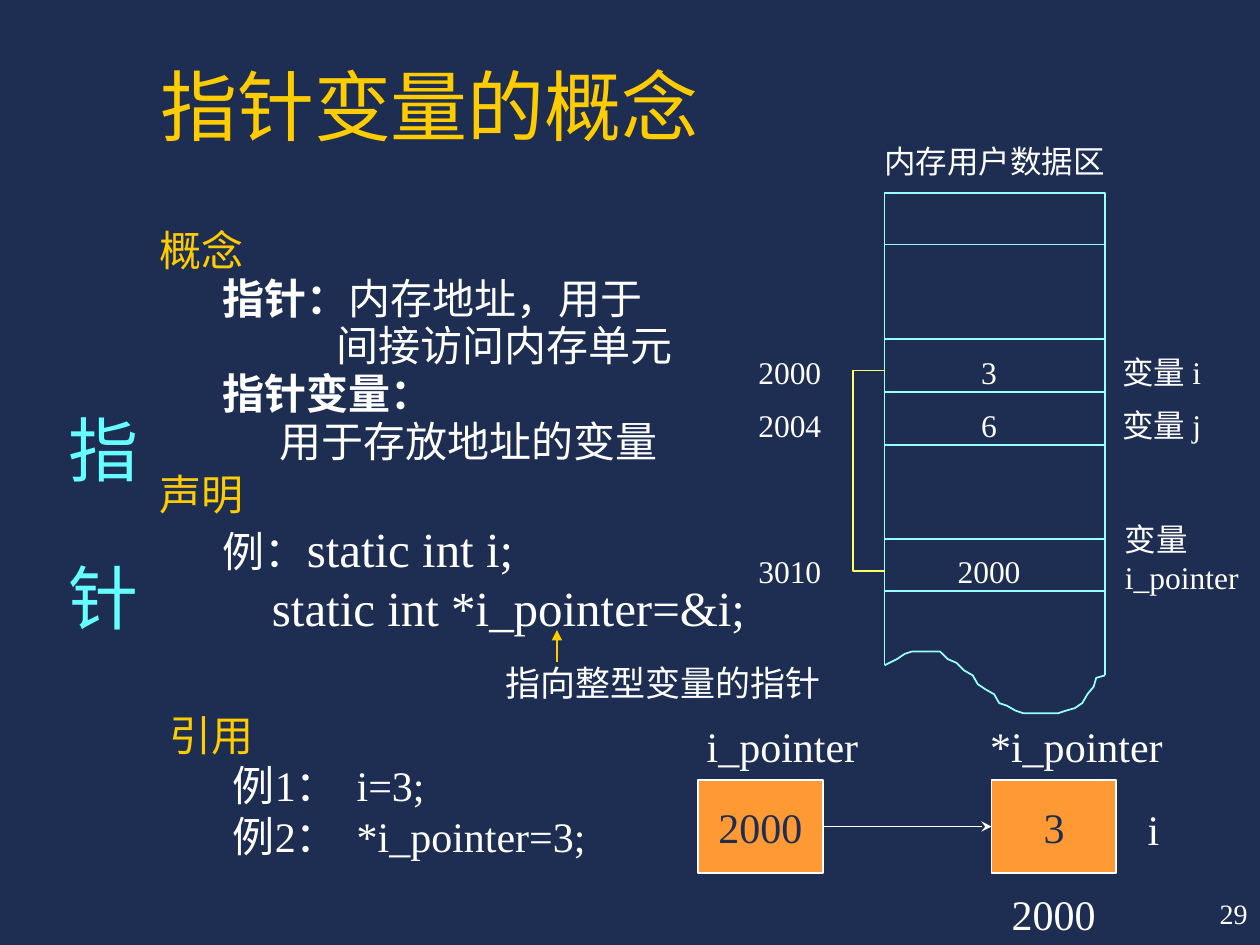
from dataclasses import dataclass
from lxml import etree
from pptx import Presentation
from pptx.dml.color import RGBColor
from pptx.enum.shapes import MSO_CONNECTOR, MSO_SHAPE
from pptx.enum.text import MSO_ANCHOR, PP_ALIGN
from pptx.oxml.ns import qn
from pptx.util import Inches, Pt

LEFT, CENTER, RIGHT = PP_ALIGN.LEFT, PP_ALIGN.CENTER, PP_ALIGN.RIGHT
TOP, MIDDLE = MSO_ANCHOR.TOP, MSO_ANCHOR.MIDDLE
STRAIGHT, RECTANGLE = MSO_CONNECTOR.STRAIGHT, MSO_SHAPE.RECTANGLE


@dataclass(frozen=True)
class Theme:
    navy: str = "1E2E53"
    gold: str = "FFCC00"
    white: str = "FFFFFF"
    orange: str = "FF9933"
    cyan: str = "99FFFF"
    aqua: str = "66FFFF"
    yellow: str = "FFFF66"
    font: str = "Times New Roman"
    chinese_font: str = "Noto Sans CJK SC"
    title: int = 44
    side_gap: int = 45
    side: int = 40
    code: int = 28
    body: int = 24
    note: int = 20
    label: int = 18
    number: int = 16
    leading: float = 1.2


THEME = Theme()
W, G = THEME.white, THEME.gold
BODY, CODE = THEME.body, THEME.code
TIGHT = THEME.leading * 0.95

TITLE = "指针变量的概念"
# Section: (box, leading, paragraphs); paragraph: (left margin, first-line indent, runs)
# Run: (text, size, colour, bold)
SECTIONS = [
    ((1.17, 1.75, 5, 2.08), TIGHT, [
        (0, 0, [("概念", BODY, G, False)]),
        (1.4, -0.9, [("指针：", BODY, W, True),
                     ("内存地址，用于\v间接访问内存单元", BODY, W, False)]),
        (0.95, -0.45, [("指针变量：\v", BODY, W, True),
                       ("用于存放地址的变量", BODY, W, False)]),
    ]),
    ((1.17, 3.67, 5.6, 2.08), THEME.leading, [
        (0, 0, [("声明", BODY, G, False)]),
        (0.5, 0, [("例：", BODY, W, False), ("static int i;", CODE, W, False)]),
        (0.89, 0, [("static int *i_pointer=&i;", CODE, W, False)]),
        (2.74, 0, [("指向整型变量的指针", THEME.note, W, False)]),
    ]),
    ((1.25, 5.58, 4.2, 1.58), THEME.leading, [
        (0, 0, [("引用", BODY, G, False)]),
        (0.5, 0, [("例1：  i=3;", BODY, W, False)]),
        (0.5, 0, [("例2：  *i_pointer=3;", BODY, W, False)]),
    ]),
]
NOTE_SPACING = 38

MEMORY_LEFT, MEMORY_RIGHT = 7.02, 8.77
MEMORY_TOP, MEMORY_BOTTOM = 1.53, 4.69
CELL_LINES = [1.94, 2.69, 3.11, 3.53, 4.28]
# Top of row, address, value
CELLS = [(2.75, "2000", "3"), (3.17, "2004", "6"), (4.33, "3010", "2000")]
TORN_EDGE = [
    (7.02, 5.28), (7.12, 5.23), (7.18, 5.19), (7.24, 5.17), (7.46, 5.17), (7.52, 5.23),
    (7.59, 5.26), (7.65, 5.32), (7.72, 5.36), (7.76, 5.43), (7.82, 5.47), (7.89, 5.51),
    (7.93, 5.58), (7.99, 5.6), (8.06, 5.64), (8.12, 5.66), (8.4, 5.66), (8.46, 5.64),
    (8.53, 5.62), (8.59, 5.58), (8.63, 5.51), (8.68, 5.45), (8.7, 5.38), (8.77, 5.36),
]
BRACKET = [(7.02, 4.53), (6.77, 4.53), (6.77, 2.94), (7.02, 2.94)]

# Text, box, size
LABELS = [
    ("内存用户数据区", (6.92, 1.08, 1.95, 0.4), THEME.label),
    ("变量 i", (8.81, 2.75, 0.89, 0.4), THEME.label),
    ("变量 j", (8.81, 3.17, 0.89, 0.4), THEME.label),
    ("变量\vi_pointer", (8.83, 4.08, 1.11, 0.7), THEME.label),
    ("i_pointer", (5.51, 5.67, 1.41, 0.5), BODY),
    ("*i_pointer", (7.76, 5.67, 1.57, 0.5), BODY),
    ("i", (9.01, 6.33, 0.29, 0.5), BODY),
    ("2000", (7.93, 7, 0.87, 0.5), BODY),
]
POINTER_BOXES = [("2000", 5.54), ("3", 7.87)]

deck = Presentation()
deck.slide_width, deck.slide_height = Inches(10), Inches(7.5)
page = deck.slides.add_slide(deck.slide_layouts[5])
page.background.fill.solid()
page.background.fill.fore_color.rgb = RGBColor.from_string(THEME.navy)


def inches(values):
    return [Inches(value) for value in values]


def add_span(para, text, size, color, bold=False, font=THEME.font):
    """Add text as runs, with a line break at each vertical tab."""
    for index, part in enumerate(text.split("\v")):
        if index:
            para.add_line_break()
        if not part:
            continue
        span = para.add_run()
        span.text = part
        span.font.size, span.font.bold, span.font.name = Pt(size), bold, font
        span.font.color.rgb = RGBColor.from_string(color)
        east_asian = etree.SubElement(span.font._element, qn("a:ea"))
        east_asian.set("typeface", THEME.chinese_font)


def add_label(text, box, size, color=W, align=LEFT, anchor=TOP, wrap=False):
    label = page.shapes.add_textbox(*inches(box))
    frame = label.text_frame
    frame.word_wrap, frame.vertical_anchor = wrap, anchor
    para = frame.paragraphs[0]
    para.alignment, para.line_spacing = align, Pt(size * THEME.leading)
    add_span(para, text, size, color)
    return label


def add_section(box, leading, paragraphs):
    frame = page.shapes.add_textbox(*inches(box)).text_frame
    frame.word_wrap = True
    for index, (margin, indent, spans) in enumerate(paragraphs):
        para = frame.add_paragraph() if index else frame.paragraphs[0]
        size = max(span[1] for span in spans)
        para.line_spacing = Pt(NOTE_SPACING if size == THEME.note else size * leading)
        properties = para._p.get_or_add_pPr()
        properties.set("marL", str(Inches(margin)))
        properties.set("indent", str(Inches(indent)))
        for span in spans:
            add_span(para, *span)


def set_line(shape, color):
    shape.line.color.rgb = RGBColor.from_string(color)
    shape.line.width = Pt(1)


def add_line(start, end, color, arrow=None):
    line = page.shapes.add_connector(STRAIGHT, *inches(start + end))
    set_line(line, color)
    if arrow:
        etree.SubElement(line.line._get_or_add_ln(), qn("a:tailEnd")).set("type", arrow)
    etree.SubElement(line._element.spPr, qn("a:effectLst"))
    return line


def add_outline(points, color):
    corners = [inches(point) for point in points]
    builder = page.shapes.build_freeform(*corners[0])
    builder.add_line_segments(corners[1:], close=False)
    outline = builder.convert_to_shape()
    outline.shadow.inherit = False
    outline.fill.background()
    set_line(outline, color)


def add_box(box, color, fill):
    shape = page.shapes.add_shape(RECTANGLE, *inches(box))
    shape.shadow.inherit = False
    shape.fill.solid()
    shape.fill.fore_color.rgb = RGBColor.from_string(fill)
    set_line(shape, color)
    return shape


title = page.shapes.title
title.left, title.top, title.width, title.height = inches((1.17, 0.33, 6.33, 1))
title.text_frame.vertical_anchor = MIDDLE
title.text_frame.paragraphs[0].alignment = LEFT
add_span(title.text_frame.paragraphs[0], TITLE, THEME.title, G, font=THEME.chinese_font)

for section in SECTIONS:
    add_section(*section)
add_line((4.42, 5.25), (4.42, 5), G, "triangle")

add_box((MEMORY_LEFT, MEMORY_TOP, MEMORY_RIGHT - MEMORY_LEFT, MEMORY_BOTTOM - MEMORY_TOP),
        THEME.cyan, THEME.navy)
for y in CELL_LINES:
    add_line((MEMORY_LEFT, y), (MEMORY_RIGHT, y), THEME.cyan)
for x, y in (TORN_EDGE[0], TORN_EDGE[-1]):
    add_line((x, MEMORY_BOTTOM), (x, y), THEME.cyan)
add_outline(TORN_EDGE, THEME.cyan)
add_outline(BRACKET, THEME.yellow)
for y, address, value in CELLS:
    add_label(address, (5.92, y, 0.7, 0.4), THEME.label)
    add_label(value, (7.5, y, 0.7, 0.4), THEME.label, align=CENTER, wrap=True)
for label in LABELS:
    add_label(*label)

pointer_boxes = []
for text, x in POINTER_BOXES:
    shape = add_box((x, 6.19, 0.99, 0.74), W, THEME.orange)
    shape.text_frame.word_wrap, shape.text_frame.vertical_anchor = False, MIDDLE
    shape.text_frame.paragraphs[0].alignment = CENTER
    add_span(shape.text_frame.paragraphs[0], text, BODY, THEME.navy)
    pointer_boxes.append(shape)
arrow = add_line((6.53, 6.56), (7.87, 6.56), W, "stealth")
arrow.begin_connect(pointer_boxes[0], 3)
arrow.end_connect(pointer_boxes[1], 1)

side = add_label("指", (0.36, 1.5, 0.86, 4.83), THEME.side, THEME.aqua, LEFT, MIDDLE, True)
frame = side.text_frame
add_span(frame.paragraphs[0], "　", THEME.side_gap, THEME.aqua)
add_span(frame.paragraphs[0], "针", THEME.side, THEME.aqua)
frame.margin_left = frame.margin_right = Inches(0.05)
frame.margin_top, frame.margin_bottom = Inches(1.79), Inches(0.1)
frame._txBody.bodyPr.set("vert", "eaVert")

add_label("29", (7.92, 7, 2.08, 0.5), THEME.number, align=RIGHT, anchor=MIDDLE, wrap=True)

deck.save("out.pptx")
